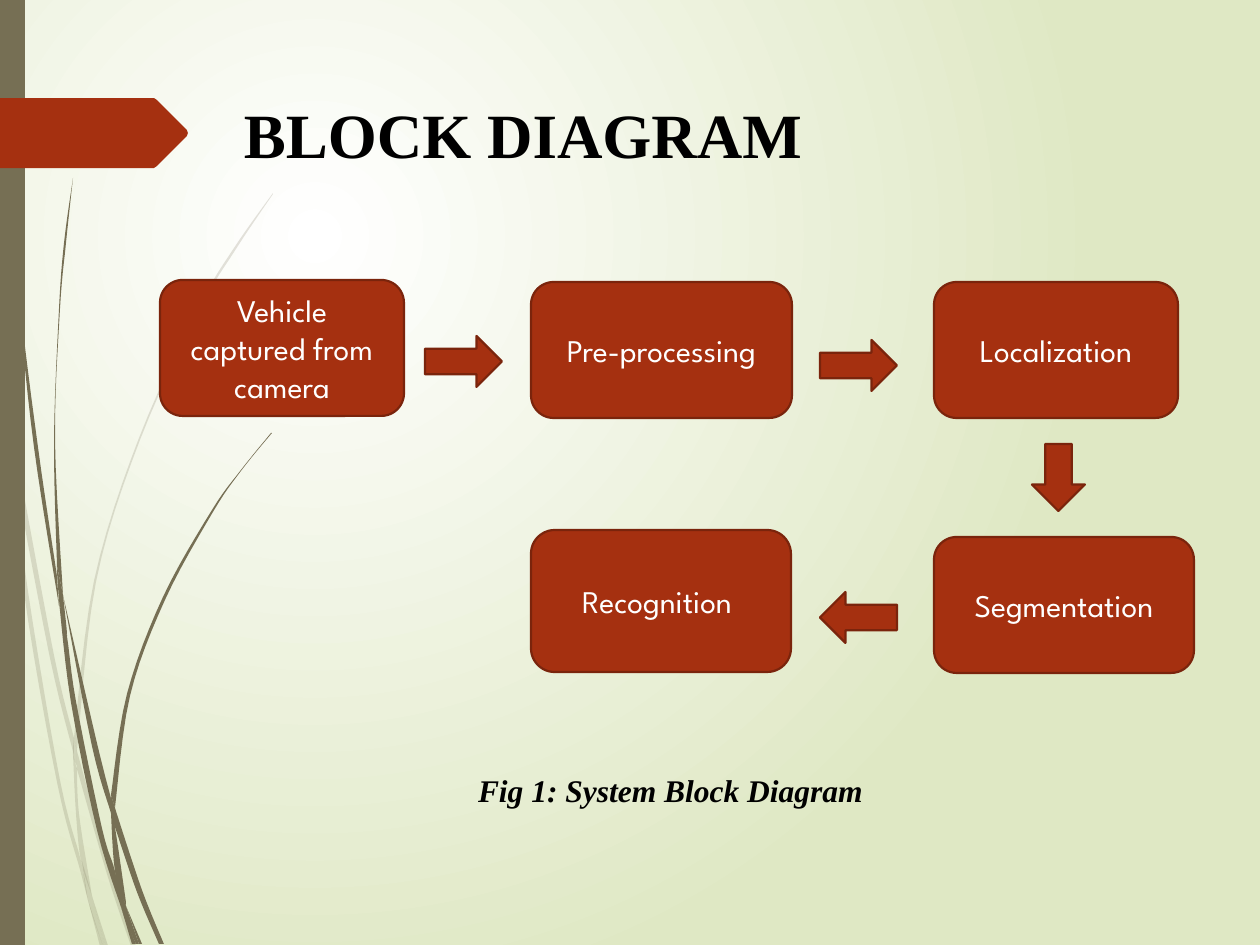
from lxml.etree import SubElement
from pptx import Presentation
from pptx.dml.color import RGBColor as RGB
from pptx.enum.shapes import MSO_SHAPE as Shape
from pptx.enum.text import MSO_ANCHOR as Anchor, PP_ALIGN as Align
from pptx.oxml.ns import qn
from pptx.util import Pt

UNIT = 914400 / 126
HEX = {"red": "A53010", "edge": "7A240C", "olive": "766F54",
       "white": "FFFFFF", "black": "000000", "lime": "DFE8C4"}
SERIF, SANS = "Times New Roman", "League Spartan"

PALE = [
    ([(10, 441), (8, 406), (0, 355)], [(0, 377), (10, 441)]),
    ([(74, 738), (54, 655), (13, 435)], [(15, 474), (50, 658), (74, 755)]),
    ([(77, 751), (111, 872), (136, 946)], [(131, 946), (107, 874), (77, 769)]),
    ([(92, 896), (108, 946)], [(105, 946), (92, 896)]),
    ([(10, 441), (28, 591), (60, 780), (81, 861), (88, 900)],
     [(88, 900), (81, 873), (57, 782), (24, 592), (10, 441)]),
    ([(73, 755), (76, 814), (81, 861), (92, 896)],
     [(91, 890), (79, 814), (77, 769)]),
    ([(77, 751), (96, 582), (140, 440), (200, 309), (236, 249), (273, 194)],
     [(273, 193), (234, 248), (199, 307), (139, 438), (94, 581), (74, 738)]),
    ([(88, 900), (103, 946)], [(100, 946), (88, 900)]),
    ([(77, 769), (77, 751)], [(74, 738), (73, 755), (77, 766)]),
    ([(82, 861), (88, 900), (103, 946)], [(105, 946), (92, 896), (82, 861)]),
]
DARK = [
    ([(3, 0), (6, 139), (18, 294), (34, 447), (59, 606)],
     [(57, 576), (38, 447), (19, 292), (8, 137), (4, 0)]),
    ([(63, 595), (92, 746), (111, 813)], [(111, 798), (97, 743), (63, 595)]),
    ([(115, 808), (142, 890), (164, 944)], [(159, 944), (137, 892), (115, 827)]),
    ([(59, 601), (67, 636), (76, 701), (102, 828), (115, 871), (122, 910)],
     [(122, 910), (97, 830), (71, 702), (59, 601)]),
    ([(63, 595), (55, 440), (60, 309), (66, 243), (73, 178)],
     [(73, 178), (64, 243), (59, 309), (54, 440), (57, 566)]),
    ([(126, 906), (142, 944)], [(139, 944), (126, 906)]),
    ([(59, 601), (67, 636), (63, 595)], [(57, 566), (57, 571), (59, 601)]),
    ([(115, 808), (130, 696), (165, 600), (213, 512), (241, 471), (272, 433)],
     [(271, 433), (241, 470), (212, 510), (163, 597), (127, 694), (111, 795)]),
    ([(122, 910), (132, 944)], [(136, 944), (122, 910)]),
    ([(111, 813), (115, 871), (126, 906)], [(126, 902), (115, 827), (111, 813)]),
    ([(111, 813), (115, 827), (115, 808)], [(111, 795), (111, 813)]),
    ([(115, 871), (122, 910), (136, 944)], [(139, 944), (126, 906), (115, 871)]),
]
FLAG = [(0, 0), (154, 0), (157, 2), (187, 32), (188, 35), (187, 38),
        (157, 68), (154, 70), (0, 70)]


def px(num):
    return round(num * UNIT)


def tint(name):
    return RGB.from_string(HEX[name])


def paint(shape, fill, line=None):
    shape.shadow.inherit = False
    shape.fill.solid()
    shape.fill.fore_color.rgb = tint(fill)
    if line:
        shape.line.color.rgb = tint(line)
        shape.line.width = Pt(1.25)
    else:
        shape.line.fill.background()


def preset(slide, kind, box, fill, line=None):
    shape = slide.shapes.add_shape(kind, *map(px, box))
    paint(shape, fill, line)
    return shape


def outline(slide, pts, fill):
    pts = [(px(x), px(y)) for x, y in pts]
    pen = slide.shapes.build_freeform(*pts[0], scale=1.0)
    pen.add_line_segments(pts[1:], close=True)
    shape = pen.convert_to_shape()
    paint(shape, fill)
    return shape


def write(shape, text, font, size, color, bold=None, slant=None):
    frame = shape.text_frame
    frame.word_wrap = True
    para = frame.paragraphs[0]
    para.alignment = Align.CENTER
    run = para.add_run()
    run.text = text
    run.font.name, run.font.size = font, Pt(size)
    run.font.bold, run.font.italic = bold, slant
    run.font.color.rgb = tint(color)
    return frame


def smooth(knots, steps=6):
    ends = [knots[0], *knots, knots[-1]]
    curve = []
    for a, b, c, d in zip(ends, ends[1:], ends[2:], ends[3:]):
        for t in (i / steps for i in range(steps)):
            curve.append([
                (2 * q + (r - p) * t + (2 * p - 5 * q + 4 * r - s) * t ** 2
                 + (3 * q - p - 3 * r + s) * t ** 3) / 2
                for p, q, r, s in zip(a, b, c, d)])
    return curve + [knots[-1]]


def blade(slide, sides, clear=None):
    there, back = map(smooth, sides)
    shape = outline(slide, there + back, "olive")
    if clear:
        color = shape.element.spPr.find(".//" + qn("a:srgbClr"))
        SubElement(color, qn("a:alpha"), val=str(clear * 1000))


def backdrop(slide):
    fill = slide.background.fill
    fill.gradient()
    for stop, name, spot in zip(fill.gradient_stops, ("white", "lime"), (0, 1)):
        stop.color.rgb = tint(name)
        stop.position = spot
    grad = slide.element.find(".//" + qn("a:gradFill"))
    grad.remove(grad.find(qn("a:lin")))
    ring = SubElement(grad, qn("a:path"), path="circle")
    SubElement(ring, qn("a:fillToRect"),
               l="50000", t="50000", r="100000", b="100000")


def grass(slide, box):
    x, y, wide, high = box
    for group, clear in ((PALE, 20), (DARK, None)):
        for sides in group:
            moved = [[(x + a, y + b) for a, b in side] for side in sides]
            blade(slide, moved, clear)
    preset(slide, Shape.RECTANGLE, (x, y, wide, high), "olive")
    outline(slide, [(x + a, y + 98 + b) for a, b in FLAG], "red")


def label(slide, box, text, size, slant=None):
    shape = slide.shapes.add_textbox(*map(px, box))
    return write(shape, text, SERIF, size, "black", True, slant)


def diagram(slide, box):
    x, y = box[:2]
    nodes = [
        ("Vehicle captured from camera", 0, 0, 244, 136),
        ("Pre-processing", 371, 2, 261, 136),
        ("Localization", 774, 2, 244, 136),
        ("Segmentation", 774, 257, 260, 136),
        ("Recognition ", 371, 250, 260, 142),
    ]
    arrows = [
        (Shape.RIGHT_ARROW, 265, 56, 77, 51),
        (Shape.RIGHT_ARROW, 660, 60, 77, 51),
        (Shape.DOWN_ARROW, 872, 164, 53, 67),
        (Shape.LEFT_ARROW, 660, 312, 77, 51),
    ]
    for text, dx, dy, wide, high in nodes:
        node = preset(slide, Shape.ROUNDED_RECTANGLE,
                      (x + dx, y + dy, wide, high), "red", "edge")
        write(node, text, SANS, 18, "white").vertical_anchor = Anchor.MIDDLE
    for kind, dx, dy, wide, high in arrows:
        preset(slide, kind, (x + dx, y + dy, wide, high), "red", "edge")


def main():
    deck = Presentation()
    deck.slide_width, deck.slide_height = px(1260), px(945)
    slide = deck.slides.add_slide(deck.slide_layouts[6])
    backdrop(slide)
    grass(slide, (0, 0, 25, 945))
    title = label(slide, (77, 65, 908, 136), "BLOCK DIAGRAM ", 36)
    title.vertical_anchor = Anchor.MIDDLE
    label(slide, (219, 765, 903, 50), "Fig 1: System Block Diagram", 18, True)
    diagram(slide, (160, 280, 1034, 393))
    deck.save("out.pptx")


if __name__ == "__main__":
    main()
